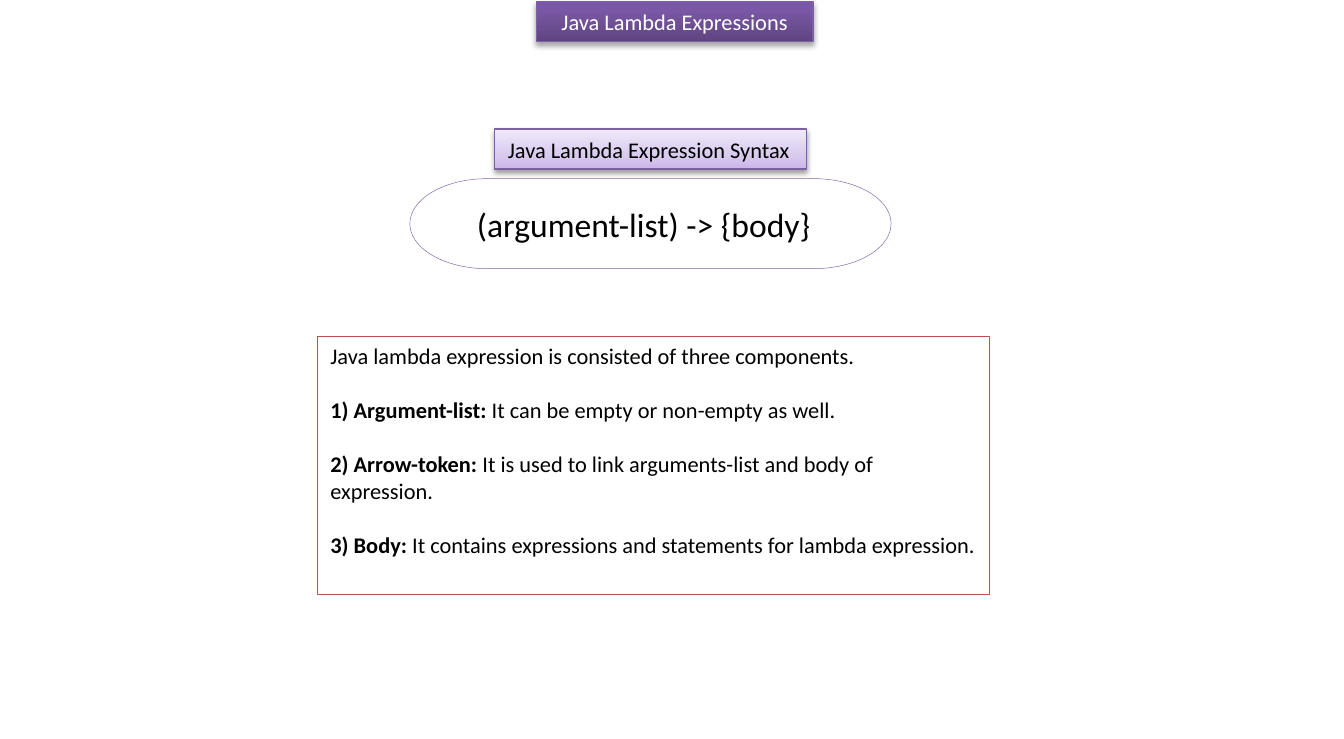
from dataclasses import dataclass

from lxml.etree import SubElement
from pptx import Presentation
from pptx.dml.color import RGBColor
from pptx.enum.shapes import MSO_SHAPE
from pptx.enum.text import MSO_ANCHOR, MSO_AUTO_SIZE, PP_ALIGN
from pptx.oxml.ns import qn
from pptx.util import Emu, Pt

PX = 9144  # EMU per px, 100 px to the inch


@dataclass(frozen=True)
class Theme:
    font: str = "Calibri"
    body_size: float = 12
    syntax_size: float = 18
    paragraph_gap: float = 14.5
    thin_line: float = 0.25
    bar_line: float = 0.75
    white: str = "FFFFFF"
    black: str = "000000"
    bar_border: str = "7D60A0"
    purple: str = "8064A2"
    red: str = "C0504D"
    dark_bar: tuple = ((0, "5F4480"), (80, "7B58A6"), (100, "7C57A8"))
    light_bar: tuple = ((0, "C9B5E8"), (35, "D8CBEE"), (100, "F0EAF9"))


class SlideBuilder:
    def __init__(self, presentation, theme):
        self.theme = theme
        self.slide = presentation.slides.add_slide(presentation.slide_layouts[5])

    def place(self, shape, box):
        for name, value in zip(("left", "top", "width", "height"), box):
            setattr(shape, name, Emu(value * PX))

    def outline(self, shape, color, width):
        shape.line.color.rgb = RGBColor.from_string(color)
        shape.line.width = Pt(width)

    def set_text(self, shape, paragraphs, size=None, color=None, align=PP_ALIGN.LEFT, **frame_format):
        """Fill a shape with paragraphs, each a list of (text, bold) runs."""
        frame = shape.text_frame
        settings = {
            "word_wrap": True,
            "auto_size": MSO_AUTO_SIZE.NONE,
            "vertical_anchor": MSO_ANCHOR.MIDDLE,
            "margin_left": Emu(10 * PX),
            "margin_right": Emu(10 * PX),
            "margin_top": Emu(5 * PX),
            "margin_bottom": Emu(5 * PX),
        } | frame_format
        for name, value in settings.items():
            setattr(frame, name, value)
        for index, runs in enumerate(paragraphs):
            paragraph = frame.add_paragraph() if index else frame.paragraphs[0]
            paragraph.alignment = align
            if index:
                paragraph.space_before = Pt(self.theme.paragraph_gap)
            for text, bold in runs:
                run = paragraph.add_run()
                run.text = text
                font_format = {
                    "name": self.theme.font,
                    "size": Pt(size or self.theme.body_size),
                    "bold": bold,
                }
                for name, value in font_format.items():
                    setattr(run.font, name, value)
                run.font.color.rgb = RGBColor.from_string(color or self.theme.black)

    def style_bar(self, shape, stops, shadow_opacity, shadow_distance):
        """Give a shape a vertical gradient, a border and a soft shadow."""
        shape.fill.gradient()
        shape.fill.gradient_angle = 90
        properties = shape._element.spPr
        stop_list = properties.find(".//" + qn("a:gsLst"))
        for stop in list(stop_list):
            stop_list.remove(stop)
        for position, color in stops:
            stop = SubElement(stop_list, qn("a:gs"), pos=str(position * 1000))
            SubElement(stop, qn("a:srgbClr"), val=color)
        self.outline(shape, self.theme.bar_border, self.theme.bar_line)
        shape.shadow.inherit = False
        shadow = SubElement(
            properties.find(qn("a:effectLst")), qn("a:outerShdw"),
            blurRad=str(Pt(3.1)), dist=str(Pt(shadow_distance)), dir="5400000", rotWithShape="0",
        )
        shadow_color = SubElement(shadow, qn("a:srgbClr"), val=self.theme.black)
        SubElement(shadow_color, qn("a:alpha"), val=str(shadow_opacity * 1000))

    def title(self, box, text):
        shape = self.slide.shapes.title
        self.place(shape, box)
        self.style_bar(shape, self.theme.dark_bar, 35, 1.8)
        self.set_text(shape, [[(text, False)]], color=self.theme.white, align=PP_ALIGN.CENTER)

    def heading(self, box, text):
        shape = self.slide.shapes.add_shape(MSO_SHAPE.RECTANGLE, 0, 0, 0, 0)
        self.place(shape, box)
        self.style_bar(shape, self.theme.light_bar, 38, 1.6)
        self.set_text(shape, [[(text, False)]], word_wrap=False)

    def panel(self, kind, box, border, paragraphs, **text_format):
        shape = self.slide.shapes.add_shape(kind, 0, 0, 0, 0)
        self.place(shape, box)
        shape.shadow.inherit = False
        shape.fill.solid()
        shape.fill.fore_color.rgb = RGBColor.from_string(self.theme.white)
        self.outline(shape, border, self.theme.thin_line)
        self.set_text(shape, paragraphs, **text_format)


def main():
    presentation = Presentation()
    presentation.slide_width = Emu(1000 * PX)
    presentation.slide_height = Emu(550 * PX)
    theme = Theme()
    builder = SlideBuilder(presentation, theme)

    # Title bar
    builder.title((399, 1, 206, 30), "Java Lambda Expressions")

    # Syntax form and its heading
    builder.panel(
        MSO_SHAPE.FLOWCHART_TERMINATOR, (305, 133, 358, 67), theme.purple,
        [[("(argument-list) -> {body}", False)]],
        size=theme.syntax_size, align=PP_ALIGN.CENTER, margin_right=Emu(20 * PX),
    )
    builder.heading((368, 96, 232, 30), "Java Lambda Expression Syntax")

    # Explanation of the components
    components = [
        ("Argument-list", "It can be empty or non-empty as well."),
        ("Arrow-token", "It is used to link arguments-list and body of expression."),
        ("Body", "It contains expressions and statements for lambda expression."),
    ]
    explanation = [[("Java lambda expression is consisted of three components.", False)]]
    for number, (name, meaning) in enumerate(components, 1):
        explanation.append([(f"{number}) {name}:", True), (f" {meaning}", False)])
    builder.panel(
        MSO_SHAPE.RECTANGLE, (236, 250, 500, 192), theme.red, explanation,
        vertical_anchor=MSO_ANCHOR.TOP,
    )

    presentation.save("out.pptx")


if __name__ == "__main__":
    main()
